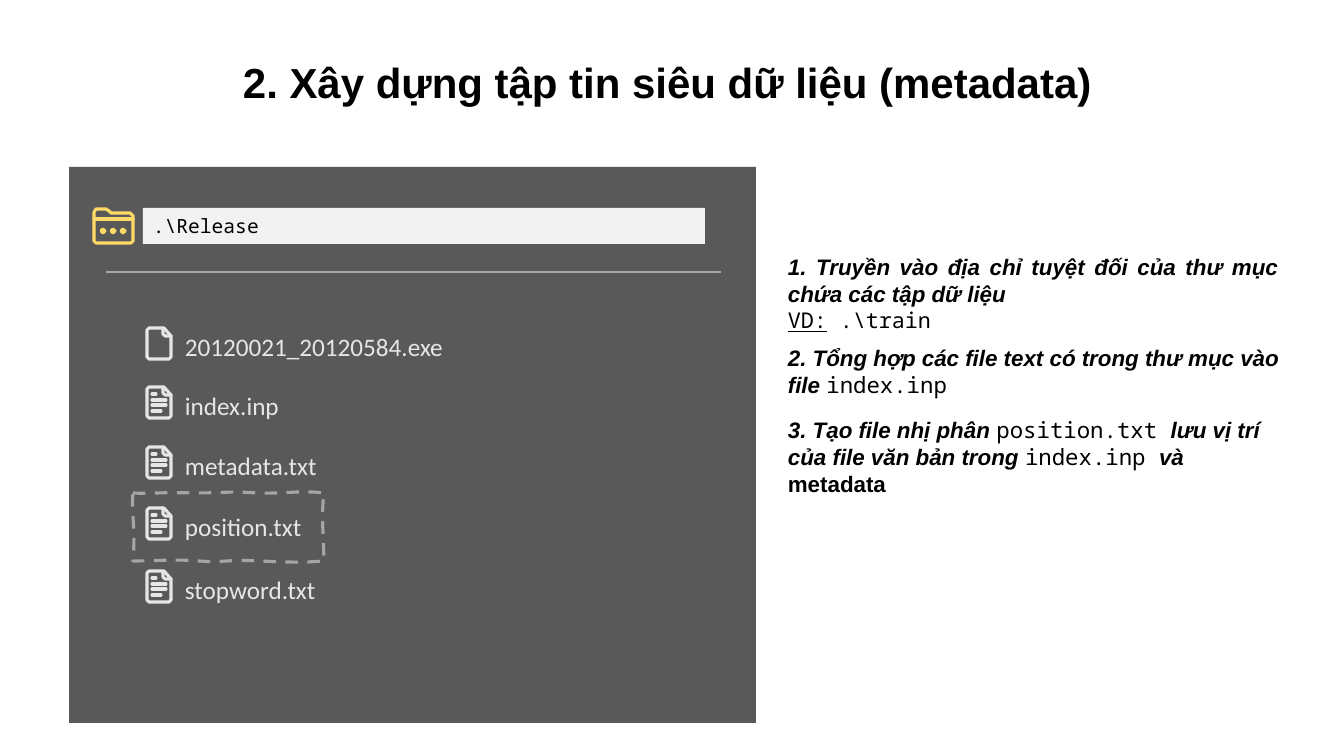
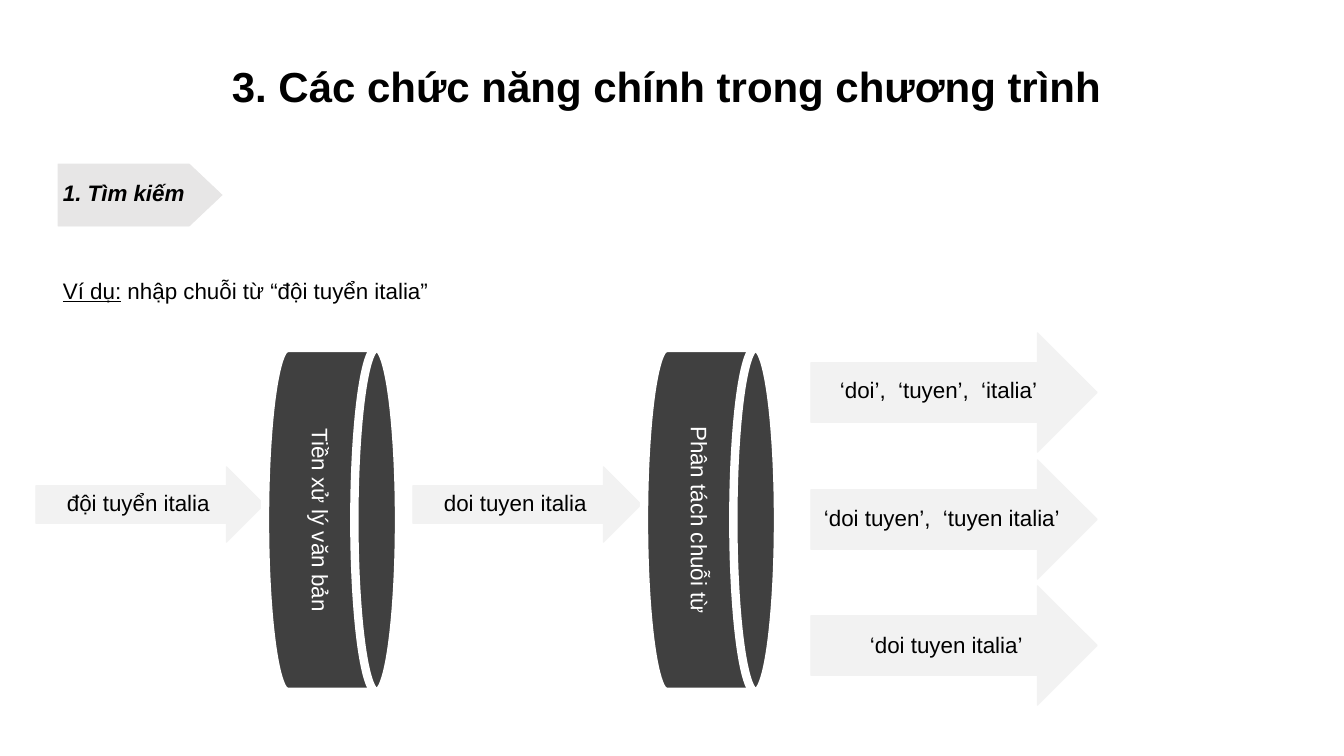
from dataclasses import dataclass, replace
from typing import Optional

from lxml import etree
from pptx import Presentation
from pptx import util as u
from pptx.dml.color import RGBColor
from pptx.enum import dml, shapes, text
from pptx.oxml.ns import qn

WIDE, HIGH = 1344, 756
SCALE = 12192000 / WIDE


@dataclass(frozen=True)
class Font:
    face: str = "Arial"
    size: float = 16
    color: str = "000000"
    bold: bool = False
    ital: bool = False
    under: bool = False


@dataclass(frozen=True)
class Theme:
    panel: str = "595959"
    pale: str = "F2F2F2"
    soft: str = "E7E6E6"
    rule: str = "A5A5A5"
    gold: str = "FFD966"
    dark: str = "404040"
    white: str = "FFFFFF"
    title: Font = Font(size=30, bold=True)
    body: Font = Font()
    bold: Font = Font(bold=True)
    strong: Font = Font(bold=True, ital=True)
    link: Font = Font(under=True)
    code: Font = Font("Noto Sans Mono")
    small: Font = Font("Noto Sans Mono", 15.5)
    route: Font = Font("Noto Sans Mono", 14)
    entry: Font = Font("Calibri", 18, "E7E6E6")
    disk: Font = Font(color="FFFFFF")


T = Theme()


@dataclass(frozen=True)
class Box:
    x: int
    y: int
    w: int
    h: int


@dataclass(frozen=True)
class Run:
    text: str
    font: Font


@dataclass(frozen=True)
class Line:
    color: str
    width: float
    dash: bool = False


@dataclass(frozen=True)
class Entry:
    name: str
    top: int
    width: int
    bars: bool = True


@dataclass(frozen=True)
class Arrow:
    box: Box
    label: str
    dx: int
    dy: int
    width: int


@dataclass(frozen=True)
class Disk:
    left: int
    label: str


@dataclass(frozen=True)
class Stroke:
    dots: tuple
    close: bool = False


Para = tuple[Run, ...]
SHEET = (
    Stroke(((3, 1), (18, 1), (25, 9), (25, 30), (23, 32), (3, 32), (1, 30), (1, 3)), True),
    Stroke(((17, 1), (17, 7), (19, 9), (25, 9))),
)
BARS = tuple(Stroke(((6, y), (x, y))) for y, x in ((8, 10), (14, 20), (19, 20), (25, 15)))
FOLDER = (
    Stroke(((1, 33), (1, 4), (3, 1), (13, 1), (16, 3), (18, 5), (21, 5),
            (37, 5), (40, 8), (40, 33), (38, 35), (3, 35)), True),
    Stroke(((1, 11), (40, 11))),
    *(Stroke(((x - 2, 23), (x, 21), (x + 2, 23), (x, 25)), True) for x in (10, 20, 30)),
)
FRAME = (
    (133, 493), (147, 494), (164, 492), (195, 493), (226, 493), (228, 491),
    (257, 493), (286, 494), (300, 490), (324, 493), (321, 514), (324, 541),
    (324, 561), (300, 563), (287, 562), (259, 561), (230, 559), (222, 563),
    (199, 561), (175, 559), (156, 561), (133, 561), (136, 530), (131, 510), (133, 493),
)


def px(n: float) -> u.Emu:
    return u.Emu(round(n * SCALE))


def rgb(color: str) -> RGBColor:
    return RGBColor.from_string(color)


def dress(font, look: Font) -> None:
    font.name = look.face
    font.size = u.Pt(look.size)
    font.bold = look.bold
    font.italic = look.ital
    font.underline = look.under
    font.color.rgb = rgb(look.color)


def write(frame, paras: tuple[Para, ...], align=None) -> None:
    for i, runs in enumerate(paras):
        para = frame.paragraphs[0] if i == 0 else frame.add_paragraph()
        base = runs[0].font
        dress(para.font, base)
        if align is not None:
            para.alignment = align
        for run in runs:
            for j, part in enumerate(run.text.split("\n")):
                if j:
                    para.add_line_break()
                piece = para.add_run()
                piece.text = part
                if run.font != base:
                    dress(piece.font, run.font)


def label(slide, box: Box, *paras: Para, wrap: bool = False, align=None) -> None:
    shape = slide.shapes.add_textbox(*map(px, (box.x, box.y, box.w, box.h)))
    frame = shape.text_frame
    frame.word_wrap = wrap
    frame.auto_size = text.MSO_AUTO_SIZE.SHAPE_TO_FIT_TEXT
    write(frame, paras, align)


def ink(line, style: Optional[Line]) -> None:
    if style is None:
        line.fill.background()
        return
    line.color.rgb = rgb(style.color)
    line.width = u.Pt(style.width)
    if style.dash:
        line.dash_style = dml.MSO_LINE.DASH


def block(slide, kind, box: Box, fill: str, line: Optional[Line] = None, turn: int = 0):
    shape = slide.shapes.add_shape(kind, *map(px, (box.x, box.y, box.w, box.h)))
    shape.shadow.inherit = False
    shape.fill.solid()
    shape.fill.fore_color.rgb = rgb(fill)
    ink(shape.line, line)
    shape.rotation = turn
    return shape


def sketch(slide, x: int, y: int, strokes: tuple[Stroke, ...], line: Line) -> None:
    pen = None
    for stroke in strokes:
        dots = [(px(x + a), px(y + b)) for a, b in stroke.dots]
        if pen is None:
            pen = slide.shapes.build_freeform(*dots[0], scale=1.0)
        else:
            pen.move_to(*dots[0])
        pen.add_line_segments(dots[1:], close=stroke.close)
    shape = pen.convert_to_shape()
    shape.shadow.inherit = False
    shape.fill.background()
    ink(shape.line, line)
    if not line.dash:
        shape.line._get_or_add_ln().set("cap", "rnd")


def curve(dots: tuple, steps: int = 8) -> tuple:
    out = [dots[0]]
    for i in range(0, len(dots) - 1, 3):
        for k in range(1, steps + 1):
            t = k / steps
            mix = ((1 - t) ** 3, 3 * t * (1 - t) ** 2, 3 * t * t * (1 - t), t ** 3)
            out.append(tuple(sum(m * d[a] for m, d in zip(mix, dots[i:i + 4])) for a in (0, 1)))
    return tuple(out)


def rule(slide, x: int, y: int, end: int, line: Line) -> None:
    bar = slide.shapes.add_connector(shapes.MSO_CONNECTOR.STRAIGHT, px(x), px(y), px(end), px(y))
    ink(bar.line, line)
    etree.SubElement(bar._element.spPr, qn("a:effectLst"))


def start(deck, title: str, box: Box):
    slide = deck.slides.add_slide(deck.slide_layouts[6])
    label(slide, box, (Run(title, T.title),))
    return slide


def item(slide, entry: Entry) -> None:
    label(slide, Box(175, entry.top, entry.width, 40), (Run(entry.name, T.entry),))
    strokes = SHEET + (BARS if entry.bars else ())
    sketch(slide, 146, entry.top + 1, strokes, Line(T.soft, 2.25))


def arrow(slide, part: Arrow) -> None:
    box = part.box
    block(slide, shapes.MSO_SHAPE.RIGHT_ARROW, box, T.pale, Line(T.pale, 1))
    spot = Box(box.x + part.dx, box.y + part.dy, part.width, 37)
    label(slide, spot, (Run(part.label, T.body),), wrap=True)


def disk(slide, part: Disk) -> None:
    shape = block(slide, shapes.MSO_SHAPE.FLOWCHART_MAGNETIC_DISK,
                  Box(part.left, 453, 344, 134), T.dark, Line(T.white, 6), 90)
    write(shape.text_frame, ((Run(part.label, T.disk),),), text.PP_ALIGN.CENTER)


def meta(deck) -> None:
    slide = start(deck, "2. Xây dựng tập tin siêu dữ liệu (metadata)", Box(233, 52, 879, 61))
    note = Box(778, 248, 520, 91)
    label(slide, note,
          (Run("1. Truyền vào địa chỉ tuyệt đối của thư mục \nchứa các tập dữ liệu", T.strong),),
          (Run("VD:", replace(T.small, under=True)), Run(" .\\train", T.small)),
          wrap=True, align=text.PP_ALIGN.JUSTIFY)
    label(slide, replace(note, y=339, h=65),
          (Run("2. Tổng hợp các file text có trong thư mục vào \nfile ", T.strong),
           Run("index.inp ", T.code)), wrap=True)
    label(slide, replace(note, y=411, h=65),
          (Run("3. Tạo file nhị phân ", T.strong), Run("position.txt ", T.code),
           Run("lưu vị trí của file văn bản trong ", T.strong), Run("index.inp ", T.code),
           Run("và ", T.strong), Run("metadata", T.bold)), wrap=True)
    block(slide, shapes.MSO_SHAPE.RECTANGLE, Box(69, 167, 687, 556), T.panel)
    bar = block(slide, shapes.MSO_SHAPE.RECTANGLE, Box(143, 208, 562, 36), T.pale)
    write(bar.text_frame, ((Run(".\\Release", T.route),),), text.PP_ALIGN.LEFT)
    sketch(slide, 93, 208, FOLDER, Line(T.gold, 2.25))
    for entry in (
        Entry("20120021_20120584.exe", 326, 281, False),
        Entry("index.inp", 385, 115),
        Entry("metadata.txt", 445, 153),
        Entry("position.txt", 506, 138),
        Entry("stopword.txt", 569, 152),
    ):
        item(slide, entry)
    rule(slide, 106, 272, 721, Line(T.rule, 1))
    sketch(slide, 0, 0, (Stroke(curve(FRAME), True),), Line(T.rule, 2.25, True))


def search(deck) -> None:
    slide = start(deck, "3. Các chức năng chính trong chương trình", Box(222, 56, 923, 61))
    block(slide, shapes.MSO_SHAPE.FLOWCHART_OFFPAGE_CONNECTOR, Box(109, 113, 62, 164),
          T.soft, Line(T.soft, 0.5), 270)
    label(slide, Box(53, 174, 144, 37), (Run("1. Tìm kiếm", T.strong),))
    label(slide, Box(53, 272, 390, 37),
          (Run("Ví dụ:", T.link), Run(" nhập chuỗi từ “đội tuyển italia”", T.body)))
    flow, out = Box(36, 467, 228, 75), Box(811, 333, 286, 119)
    arrow(slide, Arrow(flow, "đội tuyển italia", 21, 17, 177))
    disk(slide, Disk(160, "Tiền xử lý văn bản"))
    arrow(slide, Arrow(replace(flow, x=413), "doi tuyen italia", 21, 17, 177))
    disk(slide, Disk(539, "Phân tách chuỗi từ"))
    for part in (
        Arrow(out, "‘doi’,  ‘tuyen’,  ‘italia’", 19, 38, 246),
        Arrow(replace(out, y=460), "‘doi tuyen’,  ‘tuyen italia’", 3, 39, 286),
        Arrow(replace(out, y=586), "‘doi tuyen italia’", 49, 40, 286),
    ):
        arrow(slide, part)


def main() -> None:
    deck = Presentation()
    deck.slide_width, deck.slide_height = px(WIDE), px(HIGH)
    meta(deck)
    search(deck)
    deck.save("out.pptx")


main()
